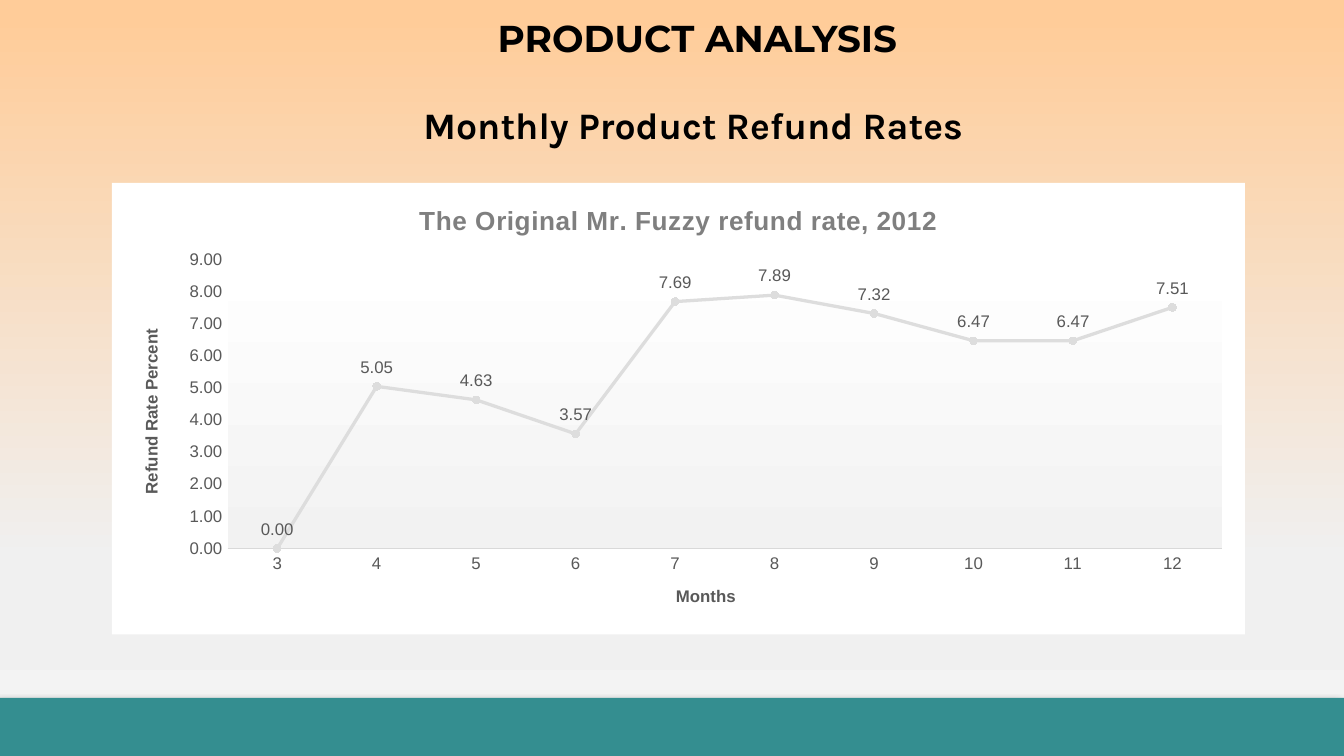
import pptx
import pptx.chart.data
import pptx.dml.color
import pptx.enum.chart
import pptx.enum.shapes
import pptx.enum.text
import pptx.oxml
import pptx.oxml.ns
import pptx.util

NS = pptx.oxml.ns.nsdecls("a", "c")
PT = pptx.util.Pt


def color(hex_text):
    return pptx.dml.color.RGBColor.from_string(hex_text)


def gradient(*stops):
    """Top-to-bottom gradient from (percent, colour) pairs."""
    marks = "".join(f'<a:gs pos="{pos * 1000}"><a:srgbClr val="{rgb}"/></a:gs>'
                    for pos, rgb in stops)
    return f'<a:gradFill {NS}><a:gsLst>{marks}</a:gsLst><a:lin ang="5400000" scaled="0"/></a:gradFill>'


class Deck:
    ink, grey, series_grey = "000000", "595959", "DDDDDD"

    def __init__(self, width, height):
        self.deck = pptx.Presentation()
        self.deck.slide_width = pptx.util.Inches(width)
        self.deck.slide_height = pptx.util.Inches(height)
        self.slide = self.deck.slides.add_slide(self.deck.slide_layouts[6])

    def box(self, left, top, width, height):
        """Shares of the slide, in percent, as lengths."""
        across, down = self.deck.slide_width, self.deck.slide_height
        return [int(share * side / 100) for share, side in
                zip((left, top, width, height), (across, down, across, down))]

    def background(self, *stops):
        self.slide.background.fill.solid()
        solid = self.slide.element.find(".//" + pptx.oxml.ns.qn("a:solidFill"))
        solid.getparent().replace(solid, pptx.oxml.parse_xml(gradient(*stops)))

    def band(self, place, fill):
        band = self.slide.shapes.add_shape(
            pptx.enum.shapes.MSO_SHAPE.RECTANGLE, *self.box(*place))
        band.fill.solid()
        band.fill.fore_color.rgb = color(fill)
        band.line.fill.background()
        band.shadow.inherit = False
        effects = band.element.spPr.find(pptx.oxml.ns.qn("a:effectLst"))
        effects.append(pptx.oxml.parse_xml(
            f'<a:outerShdw {NS} blurRad="50800" dist="38100" dir="8100000">'
            '<a:srgbClr val="000000"><a:alpha val="40000"/></a:srgbClr></a:outerShdw>'))

    def heading(self, place, words, font):
        frame = self.slide.shapes.add_textbox(*self.box(*place)).text_frame
        frame.word_wrap = True
        frame.auto_size = pptx.enum.text.MSO_AUTO_SIZE.SHAPE_TO_FIT_TEXT
        line = frame.paragraphs[0]
        line.text = words
        line.alignment = pptx.enum.text.PP_ALIGN.CENTER
        self.style(line.font, 20, self.ink, font, True)

    def style(self, font, size, rgb, name="Arial", bold=False):
        font.size, font.name, font.bold = PT(size), name, bold
        font.color.rgb = color(rgb)

    def caption(self, owner, words, size, rgb):
        """Title of a chart or of an axis."""
        line = owner.text_frame.paragraphs[0]
        line.text = words
        self.style(line.font, size, rgb, bold=True)
        return line

    def axis(self, axis, words):
        axis.has_major_gridlines = False
        axis.major_tick_mark = axis.minor_tick_mark = pptx.enum.chart.XL_TICK_MARK.NONE
        self.style(axis.tick_labels.font, 9, self.grey)
        self.caption(axis.axis_title, words, 9, self.grey)

    def line_chart(self, place, title, months, rates, axis_titles):
        chart_data = pptx.chart.data.CategoryChartData(number_format="0.00")
        chart_data.categories = months
        chart_data.add_series("Series 1", rates)
        chart = self.slide.shapes.add_chart(
            pptx.enum.chart.XL_CHART_TYPE.LINE_MARKERS, *self.box(*place), chart_data).chart
        chart.has_legend = False
        self.style(chart.font, 10, self.ink)
        heading = self.caption(chart.chart_title, title, 14, "7F7F7F")
        heading.runs[0].font._element.set("spc", "20")
        chart.chart_title.include_in_layout = False

        # Axes
        month_axis, rate_axis = chart.category_axis, chart.value_axis
        for axis, words in zip((month_axis, rate_axis), axis_titles):
            self.axis(axis, words)
        month_axis.format.line.color.rgb = color("D9D9D9")
        month_axis.format.line.width = PT(0.75)
        rate_axis.format.line.fill.background()
        rate_axis.minimum_scale, rate_axis.maximum_scale, rate_axis.major_unit = 0, 9, 1
        rate_axis.tick_labels.number_format = "0.00"
        rate_axis.tick_labels.number_format_is_linked = False

        # Refund line with markers and values
        plot = chart.plots[0]
        plot.vary_by_categories = False
        refunds = plot.series[0]
        refunds.smooth = False
        refunds.format.line.color.rgb = color(self.series_grey)
        refunds.format.line.width = PT(1.75)
        refunds.marker.style = pptx.enum.chart.XL_MARKER_STYLE.CIRCLE
        refunds.marker.size = 4
        refunds.marker.format.fill.solid()
        refunds.marker.format.fill.fore_color.rgb = color(self.series_grey)
        refunds.marker.format.line.color.rgb = color(self.series_grey)
        labels = refunds.data_labels
        labels.show_value = True
        labels.position = pptx.enum.chart.XL_LABEL_POSITION.ABOVE
        labels.number_format, labels.number_format_is_linked = "0.00", False
        self.style(labels.font, 9, self.grey)

        # Chart and plot backgrounds, and the place of the plot
        space = chart.element
        space.find(pptx.oxml.ns.qn("c:txPr")).addprevious(pptx.oxml.parse_xml(
            f'<c:spPr {NS}><a:solidFill><a:srgbClr val="FFFFFF"/></a:solidFill>'
            '<a:ln><a:noFill/></a:ln></c:spPr>'))
        area = space.find(".//" + pptx.oxml.ns.qn("c:plotArea"))
        area.append(pptx.oxml.parse_xml(
            f'<c:spPr {NS}>{gradient((0, "FFFFFF"), (100, "F2F2F2"))}</c:spPr>'))
        for old_layout in area.findall(pptx.oxml.ns.qn("c:layout")):
            area.remove(old_layout)
        # Edges in thousandths of the chart
        shares = "".join(f'<c:{side} val="{share / 1000}"/>' for side, share in
                         (("x", 102), ("y", 170), ("w", 878), ("h", 640)))
        area.insert(0, pptx.oxml.parse_xml(
            f'<c:layout {NS}><c:manualLayout><c:layoutTarget val="inner"/>'
            f'<c:xMode val="edge"/><c:yMode val="edge"/>{shares}</c:manualLayout></c:layout>'))


def main():
    page = Deck(10, 10 * 9 / 16)
    page.background((2, "FFCC99"), (74, "F0F0F0"), (83, "F0F0F0"), (100, "F5F5F5"))

    # Footer band
    page.band((0, 92.33, 100, 7.67), "348E90")

    # Refund rates by month
    page.line_chart(
        (8.33, 24.18, 84.3, 59.75), "The Original Mr. Fuzzy refund rate, 2012",
        [str(month) for month in range(3, 13)],
        [0, 5.05, 4.63, 3.57, 7.69, 7.89, 7.32, 6.47, 6.47, 7.51],
        ("Months", "Refund Rate Percent"))

    # Headings
    page.heading((28.6, 12.62, 46, 7.82), "Monthly Product Refund Rates", "Karla")
    page.heading((28.6, 1.15, 46.6, 7.82), "PRODUCT ANALYSIS", "Montserrat")

    page.deck.save("out.pptx")


if __name__ == "__main__":
    main()
